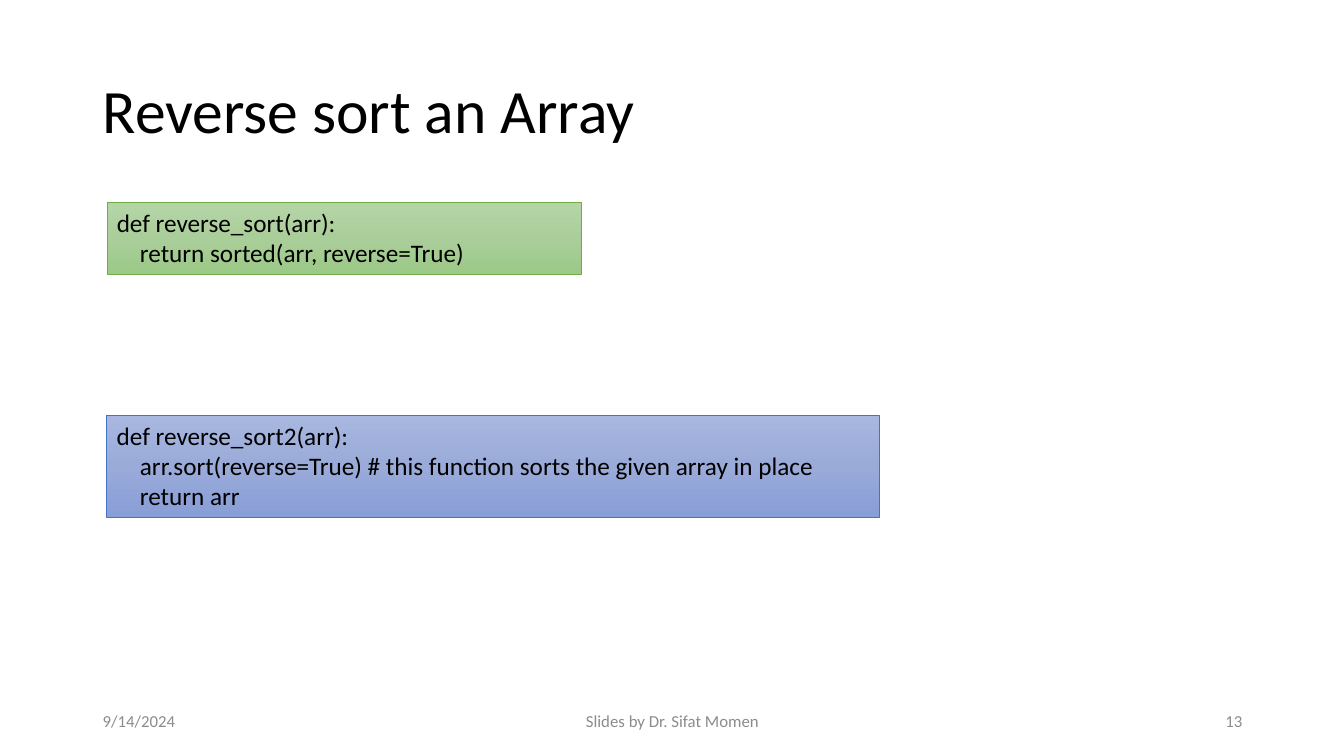
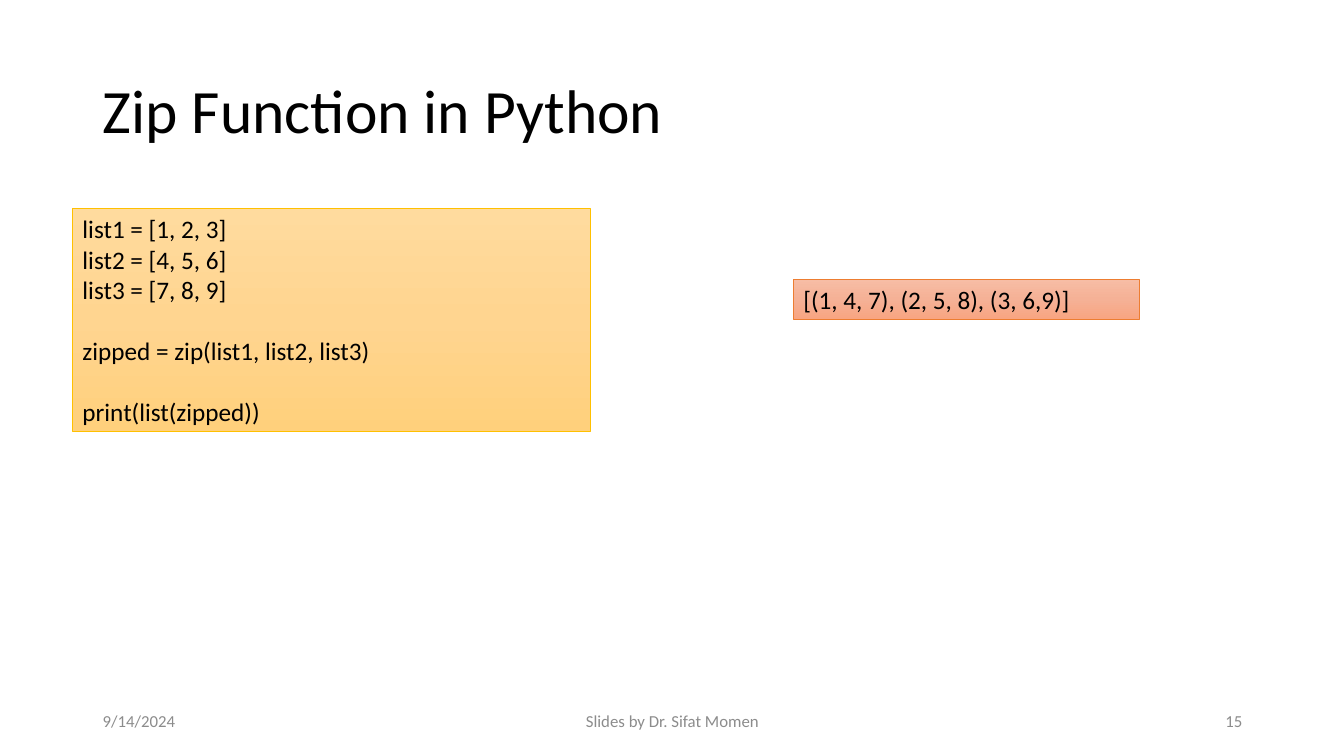
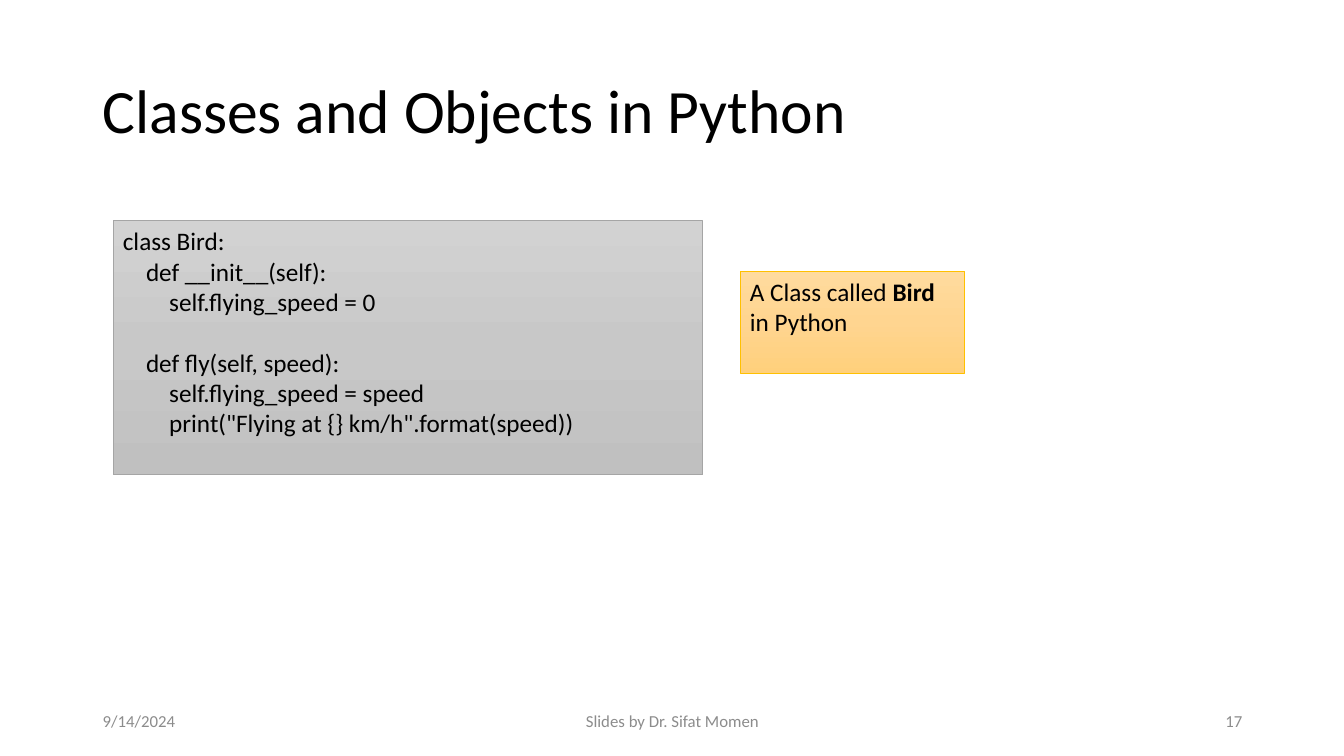
from copy import deepcopy

from pptx import Presentation
from pptx.dml.color import RGBColor
from pptx.enum.shapes import MSO_SHAPE
from pptx.enum.text import MSO_ANCHOR, PP_ALIGN
from pptx.oxml.ns import qn
from pptx.util import Pt

PX = 9144  # 100 px to the inch
FONT = "Calibri"
INDENT = 23
BLANK_LINE = 22  # points, one line of code

COLORS = {"text": "000000", "footer": "8C8C8C"}

# Gradient from top to bottom, then the outline
PANELS = {
    "green": ("B5D5A7", "AACE9A", "9CC987", "70AD47"),
    "blue": ("A8B7DF", "9AABD9", "889ED7", "4472C4"),
    "gold": ("FFDB9E", "FFD590", "FFD07C", "FFC000"),
    "orange": ("F7BDA5", "F5B196", "F8A582", "ED7D31"),
    "gray": ("D2D2D2", "C8C8C8", "C0C0C0", "A5A5A5"),
}

# Each panel: colour, place, lines of (indent level, blank lines before, text).
# Double asterisks enclose bold words.
SLIDES = [
    ("Reverse sort an Array", 13, [
        ("green", (106, 201, 471, 71), [
            (0, 0, "def reverse_sort(arr):"),
            (1, 0, "return sorted(arr, reverse=True)"),
        ]),
        ("blue", (106, 412, 766, 101), [
            (0, 0, "def reverse_sort2(arr):"),
            (1, 0, "arr.sort(reverse=True) # this function sorts the given array in place"),
            (1, 0, "return arr"),
        ]),
    ]),
    ("Zip Function in Python", 15, [
        ("gold", (72, 207, 514, 221), [
            (0, 0, "list1 = [1, 2, 3]"),
            (0, 0, "list2 = [4, 5, 6]"),
            (0, 0, "list3 = [7, 8, 9]"),
            (0, 1, "zipped = zip(list1, list2, list3)"),
            (0, 1, "print(list(zipped))"),
        ]),
        ("orange", (787, 277, 343, 40), [
            (0, 0, "[(1, 4, 7), (2, 5, 8), (3, 6,9)]"),
        ]),
    ]),
    ("Classes and Objects in Python", 17, [
        ("gray", (112, 219, 585, 252), [
            (0, 0, "class Bird:"),
            (1, 0, "def __init__(self):"),
            (2, 0, "self.flying_speed = 0"),
            (1, 1, "def fly(self, speed):"),
            (2, 0, "self.flying_speed = speed"),
            (2, 0, 'print("Flying at {} km/h".format(speed))'),
        ]),
        ("gold", (734, 269, 223, 101), [
            (0, 0, "A Class called **Bird** in Python"),
        ]),
    ]),
]


def style(para, size, color, align=PP_ALIGN.LEFT):
    para.alignment = align
    para.font.name = FONT
    para.font.size = Pt(size)
    para.font.color.rgb = RGBColor.from_string(color)


def add_label(page, place, text, size, color, align=PP_ALIGN.LEFT):
    """Add one vertically centred line of text and return its paragraph."""
    box = page.shapes.add_textbox(*(length * PX for length in place))
    frame = box.text_frame
    frame.word_wrap = True
    frame.vertical_anchor = MSO_ANCHOR.MIDDLE
    para = frame.paragraphs[0]
    para.text = text
    style(para, size, color, align)
    return para


deck = Presentation()
deck.slide_width = 1333 * PX
deck.slide_height = 750 * PX

for title, number, panels in SLIDES:
    page = deck.slides.add_slide(deck.slide_layouts[6])
    heading = add_label(page, (92, 40, 1150, 145), title, 44, COLORS["text"])
    heading.line_spacing = 0.9

    for left, width, text, align in [
        (92, 300, "9/14/2024", PP_ALIGN.LEFT),
        (442, 450, "Slides by Dr. Sifat Momen", PP_ALIGN.CENTER),
        (942, 300, str(number), PP_ALIGN.RIGHT),
    ]:
        add_label(page, (left, 695, width, 40), text, 12, COLORS["footer"], align)

    for name, place, lines in panels:
        *gradient, outline = PANELS[name]
        panel = page.shapes.add_shape(
            MSO_SHAPE.RECTANGLE, *(length * PX for length in place))
        panel.shadow.inherit = False
        panel.line.color.rgb = RGBColor.from_string(outline)
        panel.line.width = Pt(0.5)

        panel.fill.gradient()
        panel.fill.gradient_angle = 270
        stops = panel.element.spPr.find(".//" + qn("a:gsLst"))
        middle = deepcopy(stops[0])
        middle.set("pos", "50000")
        stops.insert(1, middle)
        for stop, color in zip(panel.fill.gradient_stops, gradient):
            stop.color.rgb = RGBColor.from_string(color)

        frame = panel.text_frame
        frame.word_wrap = True
        frame.vertical_anchor = MSO_ANCHOR.TOP
        for index, (level, blanks, text) in enumerate(lines):
            para = frame.add_paragraph() if index else frame.paragraphs[0]
            style(para, 18, COLORS["text"])
            para.space_before = Pt(blanks * BLANK_LINE)
            if level:
                para._p.get_or_add_pPr().set("marL", str(level * INDENT * PX))
            for position, words in enumerate(text.split("**")):
                span = para.add_run()
                span.text = words
                if position % 2:
                    span.font.bold = True

deck.save("out.pptx")
